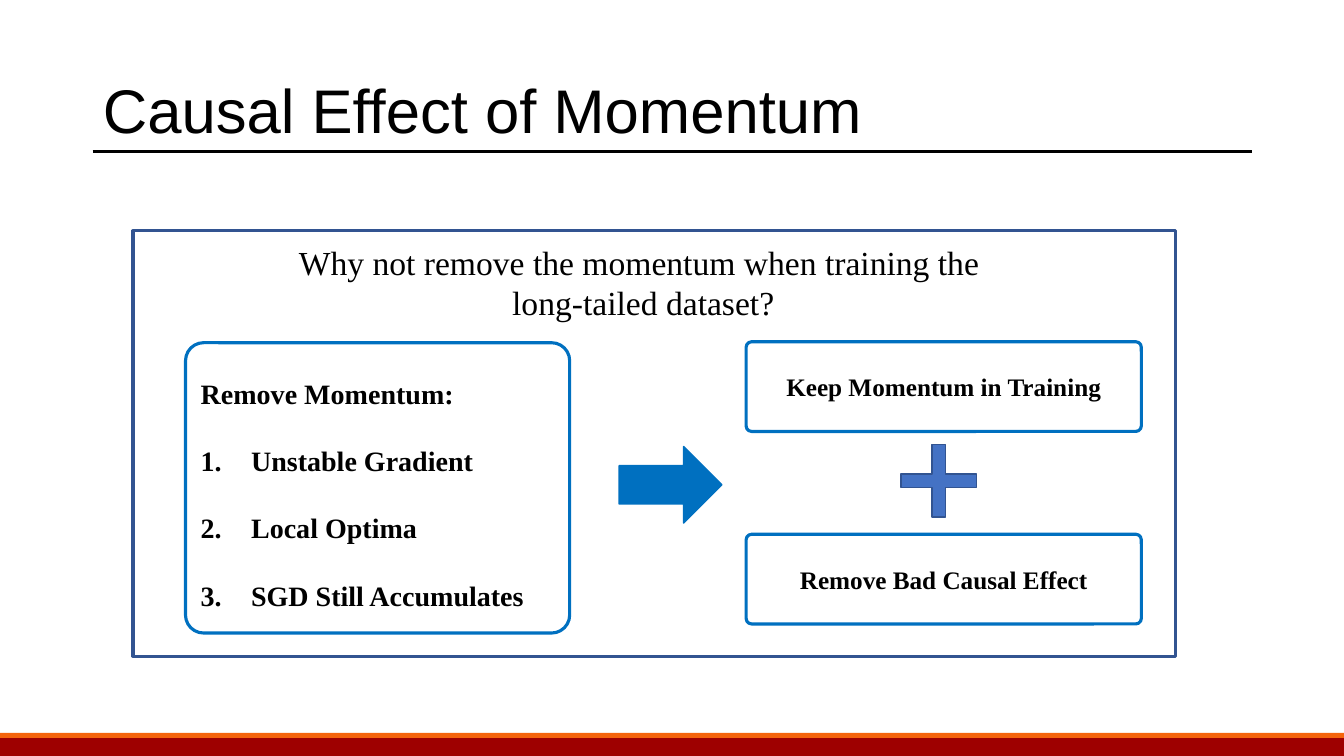
from dataclasses import dataclass
from typing import Optional

from lxml.etree import SubElement
from pptx import Presentation
from pptx.dml.color import RGBColor
from pptx.enum.shapes import MSO_CONNECTOR, MSO_SHAPE
from pptx.enum.text import MSO_ANCHOR, MSO_AUTO_SIZE, PP_ALIGN
from pptx.oxml.ns import qn
from pptx.util import Inches, Pt


@dataclass(frozen=True)
class Theme:
    black: str = "000000"
    red: str = "9E0000"
    orange: str = "F5640B"
    navy: str = "325491"
    blue: str = "0070C0"
    plus_blue: str = "4472C4"
    title_font: str = "Arial"
    body_font: str = "Times New Roman"
    title_size: float = 44
    question_size: float = 24
    list_size: float = 20
    card_size: float = 18
    outline: float = 2.25
    thin: float = 1


@dataclass(frozen=True)
class Block:
    kind: MSO_SHAPE
    left: float
    top: float
    width: float
    height: float
    fill: Optional[str] = None
    line: Optional[str] = None
    weight: float = 1
    adjustment: Optional[float] = None
    label: str = ""


THEME = Theme()
CORNER = 0.062


def card(left: float, top: float, width: float, height: float, label: str = "") -> Block:
    return Block(MSO_SHAPE.ROUNDED_RECTANGLE, left, top, width, height,
                 line=THEME.blue, weight=THEME.outline, adjustment=CORNER, label=label)


FOOTER = (
    Block(MSO_SHAPE.RECTANGLE, 0, 7.29, 13.33, 0.21, THEME.red),
    Block(MSO_SHAPE.RECTANGLE, 0, 7.27, 13.33, 0.05, THEME.orange),
)
DIAGRAM = (
    Block(MSO_SHAPE.RECTANGLE, 1.32, 2.29, 10.34, 4.22, line=THEME.navy, weight=THEME.outline),
    card(1.84, 3.4, 3.81, 2.88),
    Block(MSO_SHAPE.RIGHT_ARROW, 6.14, 4.43, 1.02, 0.76, THEME.blue, THEME.blue, THEME.thin),
    card(7.4, 3.39, 3.92, 0.89, "Keep Momentum in Training"),
    Block(MSO_SHAPE.MATH_PLUS, 8.8, 4.28, 1.02, 0.98, THEME.plus_blue, THEME.navy,
          THEME.thin, 0.136),
    card(7.4, 5.3, 3.92, 0.89, "Remove Bad Causal Effect"),
)
QUESTION = ("Why not remove the momentum when training the ", "long-tailed dataset?")
REASONS_HEADING = "Remove Momentum:"
REASONS = ("Unstable Gradient", "Local Optima", "SGD Still Accumulates")


def place(shape, left: float, top: float, width: float, height: float) -> None:
    shape.left, shape.top = Inches(left), Inches(top)
    shape.width, shape.height = Inches(width), Inches(height)


def add_span(para, text: str, size: float, font: str = THEME.body_font, bold: bool = False) -> None:
    span = para.add_run()
    span.text = text
    span.font.name = font
    span.font.size = Pt(size)
    span.font.bold = bold
    span.font.color.rgb = RGBColor.from_string(THEME.black)


def next_paragraph(frame, index: int):
    return frame.paragraphs[0] if index == 0 else frame.add_paragraph()


def add_block(page, block: Block) -> None:
    shape = page.shapes.add_shape(block.kind, Inches(block.left), Inches(block.top),
                                  Inches(block.width), Inches(block.height))
    shape.shadow.inherit = False
    if block.fill:
        shape.fill.solid()
        shape.fill.fore_color.rgb = RGBColor.from_string(block.fill)
    else:
        shape.fill.background()
    if block.line:
        shape.line.color.rgb = RGBColor.from_string(block.line)
        shape.line.width = Pt(block.weight)
    else:
        shape.line.fill.background()
    if block.adjustment is not None:
        shape.adjustments[0] = block.adjustment
    if block.label:
        shape.text_frame.word_wrap = True
        shape.text_frame.vertical_anchor = MSO_ANCHOR.MIDDLE
        para = shape.text_frame.paragraphs[0]
        para.alignment = PP_ALIGN.CENTER
        add_span(para, block.label, THEME.card_size, bold=True)


def add_title(page) -> None:
    title = page.shapes.title
    place(title, 0.92, 0.4, 11.5, 1.45)
    title.text_frame.auto_size = MSO_AUTO_SIZE.NONE
    title.text_frame.vertical_anchor = MSO_ANCHOR.MIDDLE
    para = title.text_frame.paragraphs[0]
    para.alignment = PP_ALIGN.LEFT
    para.line_spacing = 0.9
    add_span(para, "Causal Effect of Momentum", THEME.title_size, THEME.title_font)


def add_title_rule(page) -> None:
    rule = page.shapes.add_connector(MSO_CONNECTOR.STRAIGHT, Inches(0.92), Inches(1.5),
                                     Inches(12.42), Inches(1.5))
    rule.line.color.rgb = RGBColor.from_string(THEME.black)
    rule.line.width = Pt(THEME.outline)
    SubElement(rule._element.spPr, qn("a:effectLst"))


def add_question(page) -> None:
    box = page.shapes.add_textbox(Inches(2.39), Inches(2.35), Inches(7.98), Inches(0.91))
    box.text_frame.word_wrap = True
    for index, text in enumerate(QUESTION):
        para = next_paragraph(box.text_frame, index)
        para.alignment = PP_ALIGN.CENTER
        add_span(para, text, THEME.question_size)


def set_numbering(para, numbered: bool) -> None:
    properties = para._p.get_or_add_pPr()
    indent = Inches(0.5) if numbered else 0
    properties.set("marL", str(indent))
    properties.set("indent", str(-indent))
    if numbered:
        SubElement(properties, qn("a:buFont"), typeface="+mj-lt")
        SubElement(properties, qn("a:buAutoNum"), type="arabicPeriod")
    else:
        SubElement(properties, qn("a:buNone"))


def fill_reasons(body) -> None:
    place(body, 1.89, 3.35, 3.43, 3.36)
    frame = body.text_frame
    frame.auto_size = MSO_AUTO_SIZE.NONE
    frame.word_wrap = False
    frame.vertical_anchor = MSO_ANCHOR.TOP
    for index, text in enumerate((REASONS_HEADING, *REASONS)):
        para = next_paragraph(frame, index)
        set_numbering(para, index > 0)
        para.alignment = PP_ALIGN.LEFT
        para.line_spacing = 2.0
        para.space_before = Pt(0)
        add_span(para, text, THEME.list_size, bold=True)


def main() -> None:
    deck = Presentation()
    deck.slide_width, deck.slide_height = Inches(13.33), Inches(7.5)
    page = deck.slides.add_slide(deck.slide_layouts[1])
    add_title(page)
    fill_reasons(page.placeholders[1])
    for block in FOOTER:
        add_block(page, block)
    add_title_rule(page)
    for block in DIAGRAM:
        add_block(page, block)
    add_question(page)
    deck.save("out.pptx")


if __name__ == "__main__":
    main()
